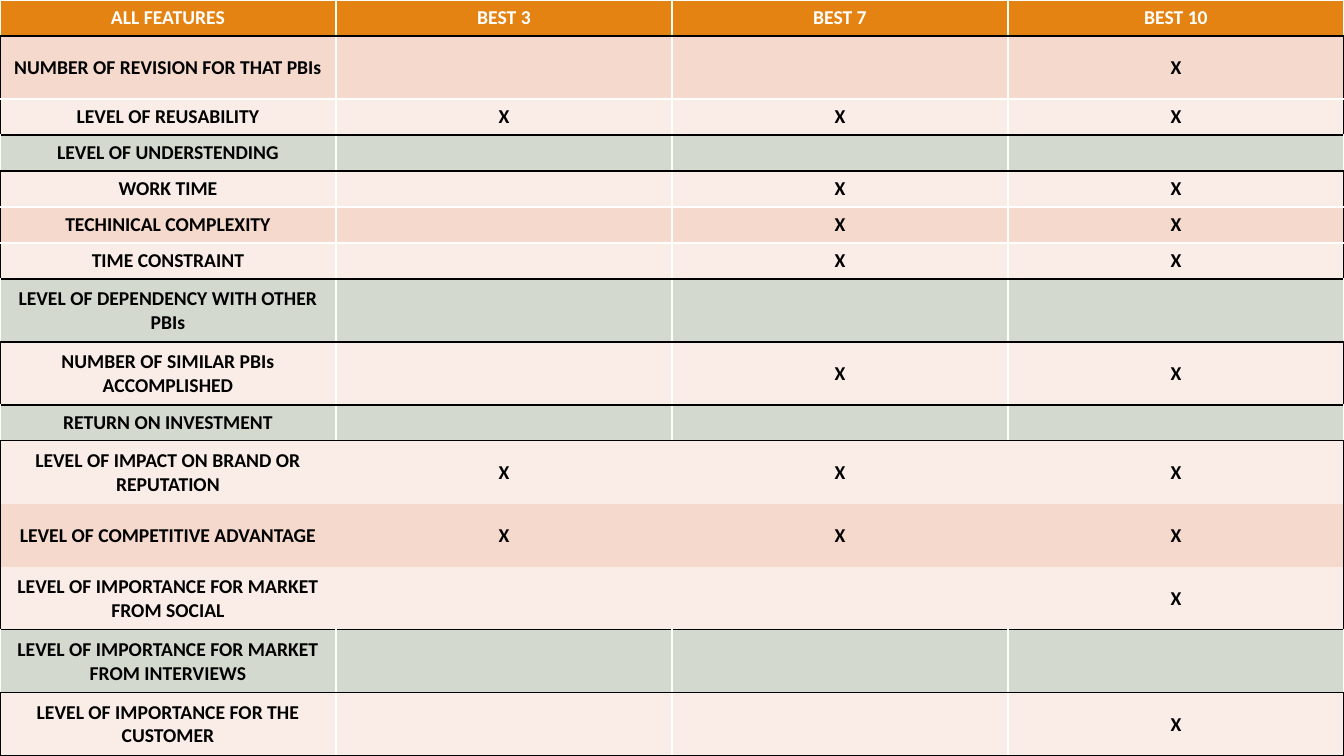
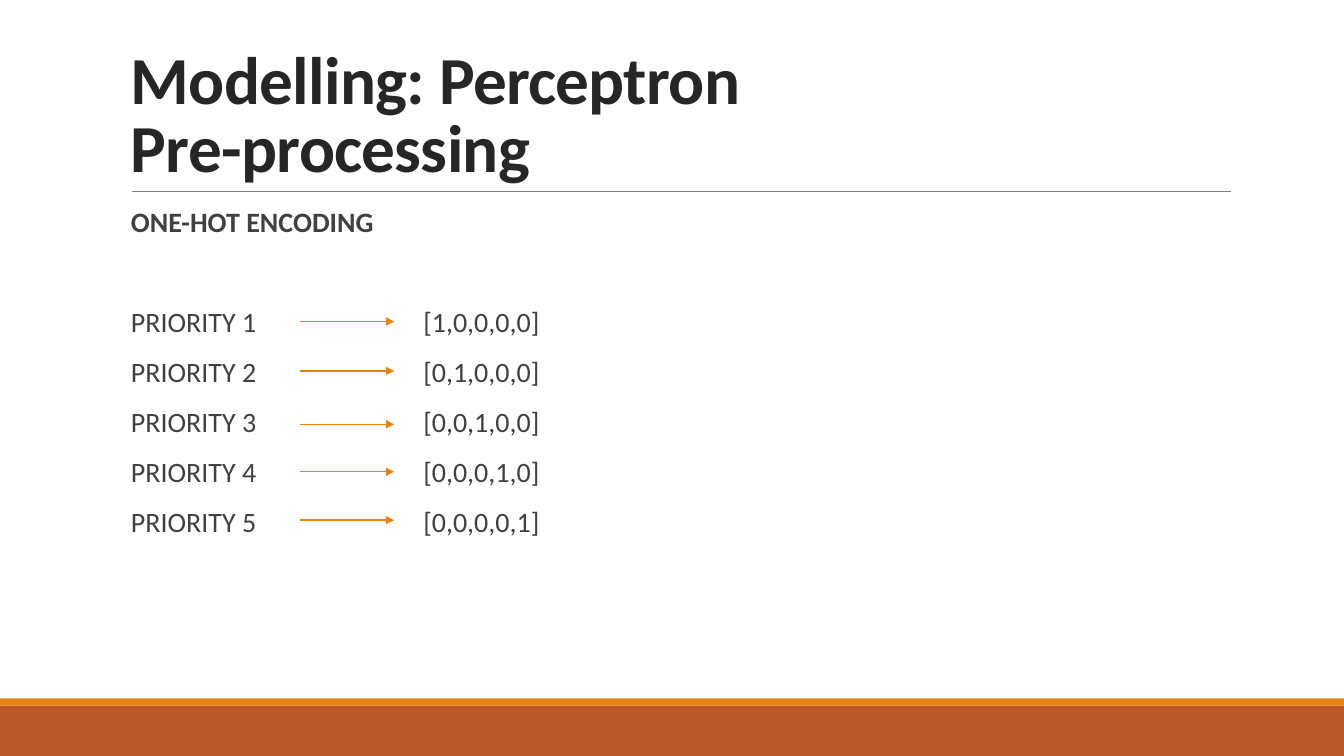
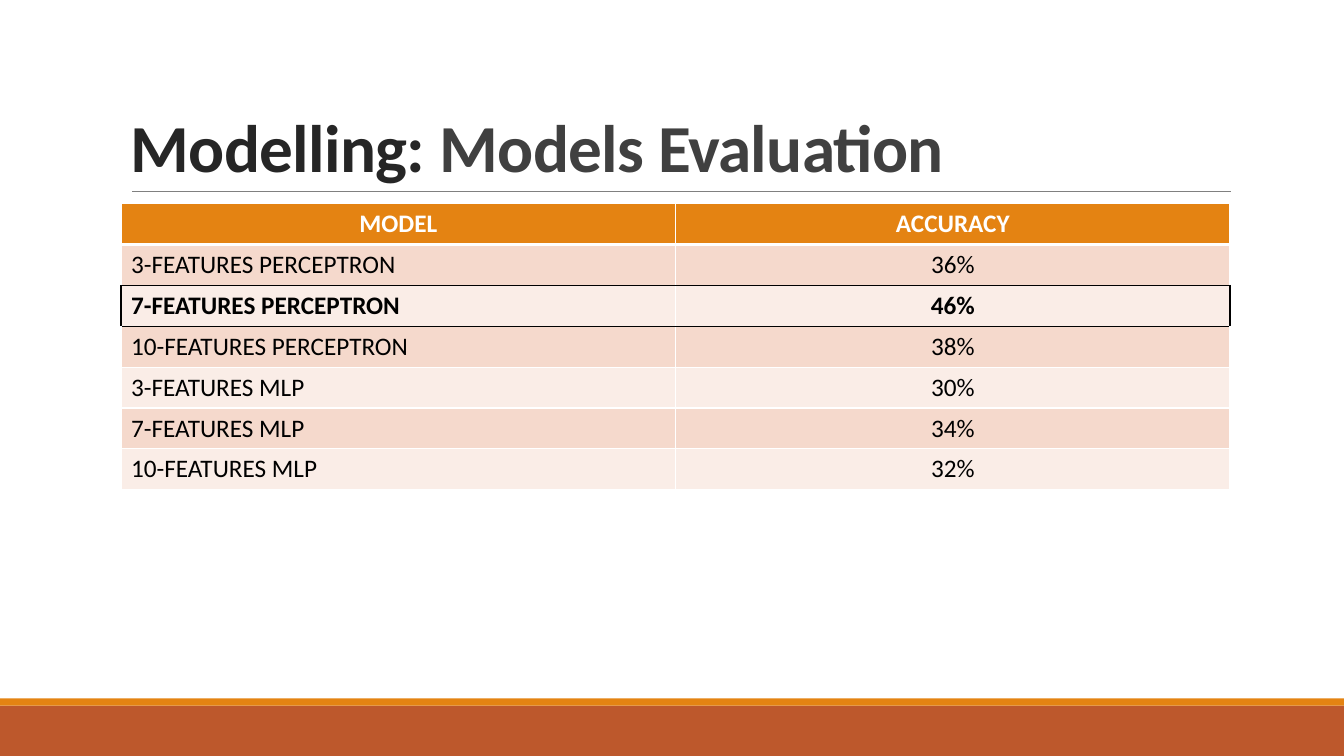
from lxml import etree
from pptx import Presentation
from pptx import util as u
from pptx.dml import color
from pptx.enum import shapes, text
from pptx.oxml import ns

# Shared look
FONT = "Calibri"
ORANGE, RUST, GREY = "E48312", "BD582C", "808080"
WHITE, BLACK, INK, SOFT_INK = "FFFFFF", "000000", "262626", "404040"
BAND_DARK, BAND_LIGHT, GREEN = "F5D9CC", "FAEDE7", "D4D9CF"
CENTER, LEFT = text.PP_ALIGN.CENTER, text.PP_ALIGN.LEFT
PAGE_WIDTH, PAGE_HEIGHT = 13.33, 7.5

TITLE_FORMAT = {"line_spacing": 0.85, "alignment": LEFT}
BODY_FORMAT = {"line_spacing": 0.9, "alignment": LEFT,
               "space_before": u.Pt(12), "space_after": u.Pt(2)}

# Feature, height in units, marks for best 3, best 7 and best 10
FEATURES = [
    ("NUMBER OF REVISION FOR THAT PBIs", 7, "--X"),
    ("LEVEL OF REUSABILITY", 4, "XXX"),
    ("LEVEL OF UNDERSTENDING", 4, "---"),
    ("WORK TIME", 4, "-XX"),
    ("TECHINICAL COMPLEXITY", 4, "-XX"),
    ("TIME CONSTRAINT", 4, "-XX"),
    ("LEVEL OF DEPENDENCY WITH OTHER PBIs", 7, "---"),
    ("NUMBER OF SIMILAR PBIs ACCOMPLISHED", 7, "-XX"),
    ("RETURN ON INVESTMENT", 4, "---"),
    ("LEVEL OF IMPACT ON BRAND OR REPUTATION", 7, "XXX"),
    ("LEVEL OF COMPETITIVE ADVANTAGE", 7, "XXX"),
    ("LEVEL OF IMPORTANCE FOR MARKET FROM SOCIAL", 7, "--X"),
    ("LEVEL OF IMPORTANCE FOR MARKET FROM INTERVIEWS", 7, "---"),
    ("LEVEL OF IMPORTANCE FOR THE CUSTOMER", 7, "--X"),
]

ARROW_TOPS = [3.19, 3.68, 4.21, 4.68, 5.16]

ACCURACIES = [
    ("MODEL", "ACCURACY"),
    ("3-FEATURES PERCEPTRON", "36%"),
    ("7-FEATURES PERCEPTRON", "46%"),
    ("10-FEATURES PERCEPTRON", "38%"),
    ("3-FEATURES MLP", "30%"),
    ("7-FEATURES MLP", "34%"),
    ("10-FEATURES MLP", "32%"),
]


# Helpers
def rgb(value):
    return color.RGBColor.from_string(value)


def inches(*values):
    return [u.Inches(value) for value in values]


def apply(target, values):
    for name, value in values.items():
        setattr(target, name, value)


def add_xml(parent, tag, **attributes):
    return etree.SubElement(parent, ns.qn(tag), attributes)


def add_span(para, words, size, ink, bold=False):
    span = para.add_run()
    span.text = words
    apply(span.font, {"name": FONT, "size": u.Pt(size), "bold": bold})
    span.font.color.rgb = rgb(ink)
    return span


def add_box(page, at, anchor):
    frame = page.shapes.add_textbox(*inches(*at)).text_frame
    apply(frame, {"word_wrap": True, "vertical_anchor": anchor})
    return frame


def add_band(page, top, height, fill):
    band = page.shapes.add_shape(shapes.MSO_SHAPE.RECTANGLE,
                                 *inches(0, top, PAGE_WIDTH, height))
    band.shadow.inherit = False
    band.fill.solid()
    band.fill.fore_color.rgb = rgb(fill)
    band.line.fill.background()


def add_line(page, left, right, top, ink, width, arrow=False):
    line = page.shapes.add_connector(shapes.MSO_CONNECTOR.STRAIGHT,
                                     *inches(left, top, right, top))
    line.line.color.rgb = rgb(ink)
    line.line.width = u.Pt(width)
    if arrow:
        add_xml(line.line._get_or_add_ln(), "a:tailEnd", type="triangle")
    add_xml(line._element.spPr, "a:effectLst")


def add_page(deck):
    return deck.slides.add_slide(deck.slide_layouts[6])


def move_to_layout(page):
    """Make the shapes drawn so far part of the layout of every page."""
    layout = page.slide_layout
    for placeholder in list(layout.placeholders):
        layout.shapes._spTree.remove(placeholder._element)
    for shape in list(page.shapes):
        layout.shapes._spTree.append(shape._element)


def add_first_page(deck):
    """First page; its footer bands and title rule are shared by all."""
    page = add_page(deck)
    add_band(page, 7, 0.5, RUST)
    add_band(page, 6.93, 0.07, ORANGE)
    add_line(page, 1.31, 12.21, 1.9, GREY, 0.5)
    move_to_layout(page)
    return page


def add_titled_page(deck, *lines):
    """Page with a title of coloured spans per line."""
    page = add_page(deck)
    para = add_box(page, (1.2, 0.31, 11, 1.59), text.MSO_ANCHOR.BOTTOM).paragraphs[0]
    apply(para, TITLE_FORMAT)
    for index, spans in enumerate(lines):
        if index:
            para.add_line_break()
        for words, ink in spans:
            span = add_span(para, words, 48, ink, bold=True)
            span._r.get_or_add_rPr().set("spc", "-50")
    return page


# Tables
def set_borders(cell, borders):
    """borders: (ink or None, width) for left, right, top and bottom."""
    properties = cell._tc.get_or_add_tcPr()
    for index, (side, (ink, width)) in enumerate(zip("LRTB", borders)):
        line = etree.Element(ns.qn("a:ln" + side), w=str(u.Pt(width)))
        if ink:
            add_xml(add_xml(line, "a:solidFill"), "a:srgbClr", val=ink)
        else:
            add_xml(line, "a:noFill")
        properties.insert(index, line)


def fill_cell(cell, words, fill, size, ink, bold, align):
    cell.fill.solid()
    cell.fill.fore_color.rgb = rgb(fill)
    cell.vertical_anchor = text.MSO_ANCHOR.MIDDLE
    para = cell.text_frame.paragraphs[0]
    para.alignment = align
    if words:
        add_span(para, words, size, ink, bold)
    else:
        add_xml(para._p, "a:endParaRPr", sz=str(size * 100))


def add_grid(page, at, rows, heights, size, boxed, dropped=(), unruled=(),
             all_bold=False, label_align=CENTER):
    """Banded table; runs of boxed rows get a black outline."""
    last = len(rows[0]) - 1
    table = page.shapes.add_table(len(rows), last + 1, *inches(*at)).table
    table.horz_banding = False
    for column in table.columns:
        column.width = u.Inches(at[2] / (last + 1))

    def level_border(edge, plain):
        if (edge - 1 in boxed) != (edge in boxed):
            return BLACK, 1
        return plain, 3 if edge == 1 else 1

    for r, (words_in_row, height) in enumerate(zip(rows, heights)):
        table.rows[r].height = u.Inches(height)
        header = r == 0
        band = BAND_DARK if r % 2 else BAND_LIGHT
        fill = ORANGE if header else GREEN if r in dropped else band
        plain = None if r in unruled else WHITE
        outer = BLACK if r in boxed else plain
        for c, words in enumerate(words_in_row):
            cell = table.cell(r, c)
            fill_cell(cell, words, fill, size, WHITE if header else BLACK,
                      bold=header or all_bold or r in boxed,
                      align=CENTER if header or c else label_align)
            set_borders(cell, [(outer if c == 0 else plain, 1),
                               (outer if c == last else plain, 1),
                               level_border(r, plain),
                               level_border(r + 1, plain)])


# Slides
def build_features(deck):
    rows = [("ALL FEATURES", "BEST 3", "BEST 7", "BEST 10")]
    rows += [(name, *(mark.strip("-") for mark in marks))
             for name, _, marks in FEATURES]
    units = [4] + [height for _, height, _ in FEATURES]
    boxed = {r for r, row in enumerate(rows) if "X" in row}
    add_grid(add_first_page(deck), (0, 0, PAGE_WIDTH, PAGE_HEIGHT), rows,
             [PAGE_HEIGHT * unit / sum(units) for unit in units], 14, boxed,
             dropped=set(range(1, len(rows))) - boxed,
             unruled=range(10, 13), all_bold=True)


def build_encoding(deck):
    page = add_titled_page(deck, [("Modelling: Perceptron", INK)],
                           [("Pre-processing", INK)])
    frame = add_box(page, (1.2, 2.02, 11, 4.4), text.MSO_ANCHOR.TOP)
    heading = frame.paragraphs[0]
    apply(heading, BODY_FORMAT)
    add_span(heading, "ONE-HOT ENCODING", 20, SOFT_INK, bold=True)
    for index, arrow_top in enumerate(ARROW_TOPS):
        para = frame.add_paragraph()
        apply(para, BODY_FORMAT)
        if index == 0:
            para.space_before = u.Pt(48)
        tabs = add_xml(para._p.get_or_add_pPr(), "a:tabLst")
        add_xml(tabs, "a:tab", pos=str(u.Inches(2.9)), algn="l")
        code = ",".join(str(int(place == index)) for place in range(5))
        add_span(para, f"PRIORITY {index + 1}\t[{code}]", 20, SOFT_INK)
        add_line(page, 2.98, 3.91, arrow_top, ORANGE, 1, arrow=True)


def build_evaluation(deck):
    page = add_titled_page(deck, [("Modelling: ", INK),
                                  ("Models Evaluation", SOFT_INK)])
    add_grid(page, (1.2, 2.02, 11, 2.84), ACCURACIES,
             [2.84 / len(ACCURACIES)] * len(ACCURACIES), 18, boxed={2},
             label_align=LEFT)


def main():
    deck = Presentation()
    deck.slide_width, deck.slide_height = inches(PAGE_WIDTH, PAGE_HEIGHT)
    build_features(deck)
    build_encoding(deck)
    build_evaluation(deck)
    deck.save("out.pptx")


if __name__ == "__main__":
    main()
